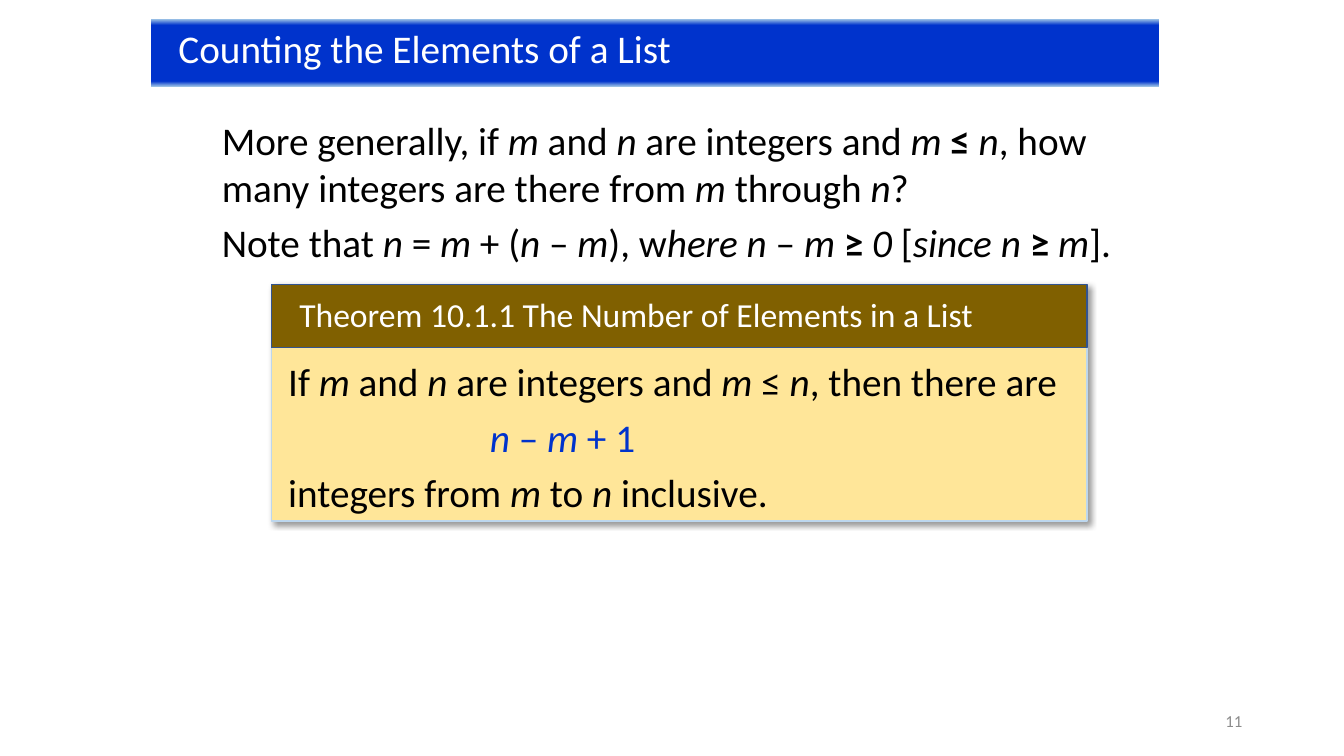
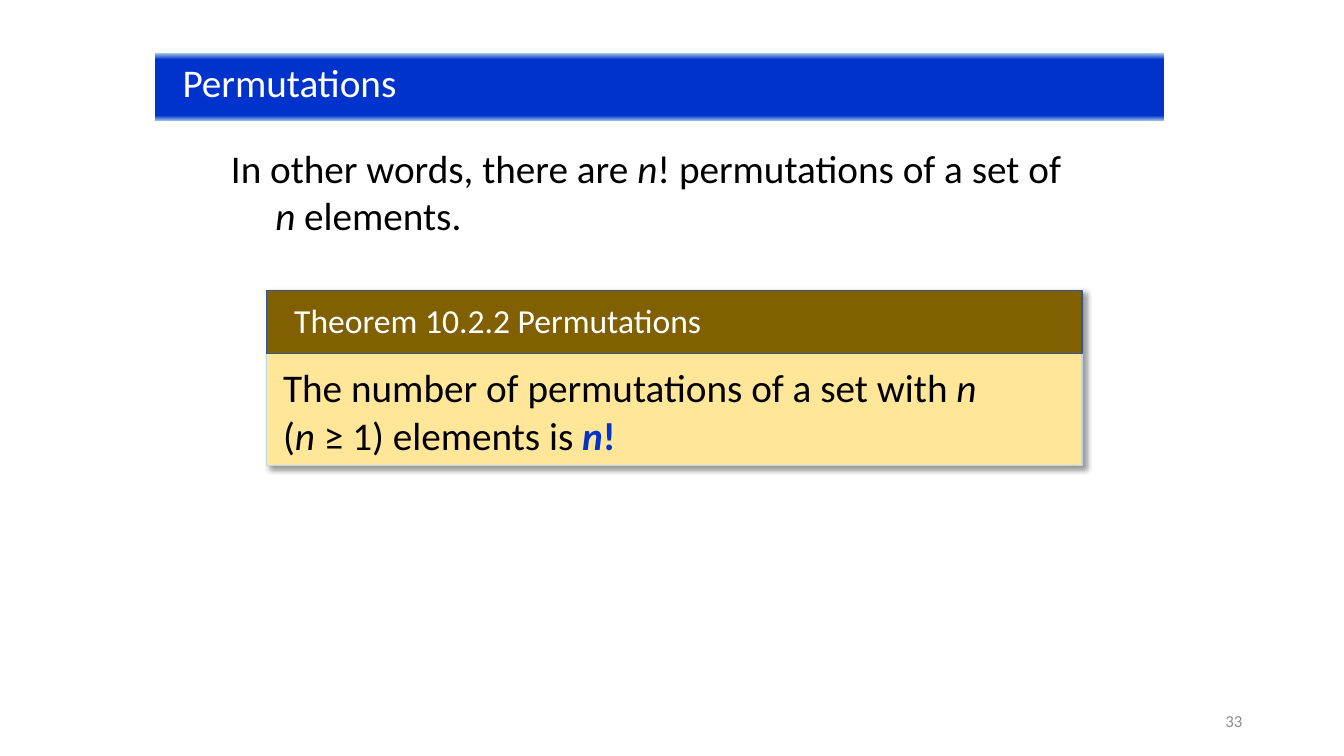
from itertools import groupby
from lxml import etree
from pptx import Presentation
from pptx.dml.color import RGBColor
from pptx.enum import shapes, text
from pptx.oxml import parse_xml
from pptx.oxml import ns
from pptx.util import Inches, Pt

BLUE = RGBColor(0x00, 0x33, 0xCC)
SKY = RGBColor(0x9D, 0xC3, 0xE6)
CREAM = RGBColor(0xFF, 0xE6, 0x99)
BROWN = RGBColor(0x80, 0x60, 0x00)
PALE = RGBColor(0xBD, 0xD7, 0xEE)
NAVY = RGBColor(0x32, 0x54, 0x91)
GRAY = RGBColor(0x8C, 0x8C, 0x8C)
WHITE = RGBColor(0xFF, 0xFF, 0xFF)
BLACK = RGBColor(0x00, 0x00, 0x00)
FONT = "Calibri"

STOPS = [(0, SKY), (9, BLUE), (92, BLUE), (100, SKY)]
GRAD = (
    f'<a:gradFill {ns.nsdecls("a")} rotWithShape="1"><a:gsLst>'
    + "".join(f'<a:gs pos="{at * 1000}"><a:srgbClr val="{tone}"/></a:gs>' for at, tone in STOPS)
    + '</a:gsLst><a:lin ang="5400000" scaled="0"/></a:gradFill>'
)
SHADE = (
    f'<a:outerShdw {ns.nsdecls("a")} blurRad="50800" dist="38100" dir="2700000" algn="tl" rotWithShape="0">'
    '<a:srgbClr val="000000"><a:alpha val="40000"/></a:srgbClr></a:outerShdw>'
)

PAGES = [
    {
        "title": "Counting the Elements of a List", "band": (1.5, 0.19), "num": "11",
        "body": (2.1, 1.1, 9.11, 2.07), "hang": 0,
        "lines": [
            "More generally, if *m* and *n* are integers and *m* ^≤^ *n*, how many integers "
            "are there from *m* through *n*?",
            "Note that *n* = *m* + (*n* – *m*), w*here n* – *m* ^≥^ *0* [*since n* ^≥^ *m*].",
        ],
        "card": (2.69, 2.82, 2.35), "head": "Theorem 10.1.1 The Number of Elements in a List",
        "claim": (7.92, 1.68),
        "rule": [
            (0, "If *m* and *n* are integers and *m* ≤ *n*, then there are"),
            (2, "~*n* – *m* + 1~"),
            (0, "integers from *m* to *n* inclusive."),
        ],
    },
    {
        "title": "Permutations", "band": (1.54, 0.53), "num": "33",
        "body": (2.19, 1.38, 8.55, 1.12), "hang": 0.44,
        "lines": ["In other words, there are *n*! permutations of a set of *n* elements."],
        "card": (2.64, 2.88, 1.74), "head": "Theorem 10.2.2 Permutations",
        "claim": (7.3, 1.04),
        "rule": [(0, "The number of permutations of a set with *n* (*n* ≥ 1) elements is ~^*n*!^~")],
    },
]


def style(font, size, tone):
    font.name, font.size, font.color.rgb = FONT, Pt(size), tone


def write(par, line, left=0, first=0):
    props = par._p.get_or_add_pPr()
    props.set("marL", str(Inches(left)))
    props.set("indent", str(Inches(first)))
    etree.SubElement(props, ns.qn("a:buNone"))
    on = set()
    for mark, chars in groupby(line, lambda c: c in "*^~"):
        words = "".join(chars)
        if mark:
            on ^= set(words)
            continue
        run = par.add_run()
        run.text = words
        style(run.font, 28, BLUE if "~" in on else BLACK)
        run.font.italic = "*" in on
        run.font.bold = "^" in on


prs = Presentation()
prs.slide_width, prs.slide_height = Inches(13.33), Inches(7.5)

for page in PAGES:
    slide = prs.slides.add_slide(prs.slide_layouts[1])
    title, body = slide.placeholders

    x, y = page["band"]
    title.left, title.top, title.width, title.height = map(Inches, (x, y, 10, 0.67))
    title._element.spPr.append(parse_xml(GRAD))
    frame = title.text_frame
    frame.text = page["title"]
    frame.auto_size = text.MSO_AUTO_SIZE.NONE
    frame.vertical_anchor = text.MSO_ANCHOR.TOP
    frame.margin_left = Inches(0.27)
    frame.paragraphs[0].alignment = text.PP_ALIGN.LEFT
    style(frame.paragraphs[0].runs[0].font, 28, WHITE)

    body.left, body.top, body.width, body.height = map(Inches, page["body"])
    frame = body.text_frame
    frame.auto_size = text.MSO_AUTO_SIZE.NONE
    for i, line in enumerate(page["lines"]):
        par = frame.add_paragraph() if i else frame.paragraphs[0]
        write(par, line, page["hang"], -page["hang"])
        par.space_before = Pt(6 if i else 0)

    x, y, tall = page["card"]
    group = slide.shapes.add_group_shape()
    for high, fill, edge in [(tall, CREAM, PALE), (0.63, BROWN, NAVY)]:
        box = group.shapes.add_shape(
            shapes.MSO_SHAPE.RECTANGLE, Inches(x), Inches(y), Inches(8.09), Inches(high))
        box.fill.solid()
        box.fill.fore_color.rgb = fill
        box.line.color.rgb = edge
        box.line.width = Pt(1)
        box.shadow.inherit = False
        if fill == CREAM:
            box._element.spPr.find(ns.qn("a:effectLst")).append(parse_xml(SHADE))

    head = group.shapes.add_textbox(Inches(x + 0.18), Inches(y + 0.05), Inches(7.74), Inches(0.5))
    head.text_frame.word_wrap = True
    head.text_frame.text = page["head"]
    style(head.text_frame.paragraphs[0].runs[0].font, 24, WHITE)

    wide, high = page["claim"]
    claim = group.shapes.add_textbox(Inches(x + 0.07), Inches(y + 0.68), Inches(wide), Inches(high))
    frame = claim.text_frame
    frame.word_wrap = True
    for i, (left, line) in enumerate(page["rule"]):
        par = frame.add_paragraph() if i else frame.paragraphs[0]
        write(par, line, left)
        par.space_after = Pt(6)

    num = slide.shapes.add_textbox(Inches(9.42), Inches(6.95), Inches(3), Inches(0.4))
    frame = num.text_frame
    frame.word_wrap = True
    frame.vertical_anchor = text.MSO_ANCHOR.MIDDLE
    frame.text = page["num"]
    frame.paragraphs[0].alignment = text.PP_ALIGN.RIGHT
    style(frame.paragraphs[0].runs[0].font, 12, GRAY)

prs.save("out.pptx")
